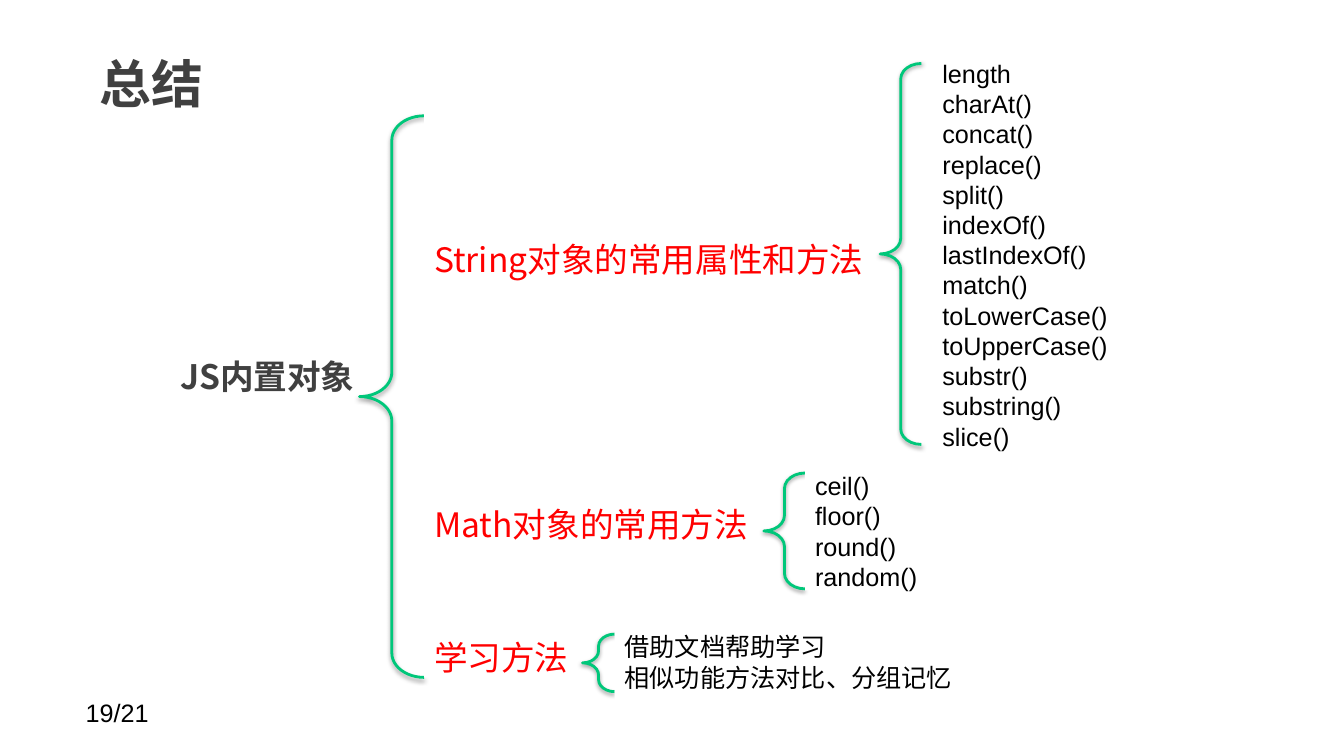
from lxml import etree
from pptx import Presentation
from pptx.dml.color import RGBColor
from pptx.enum.shapes import MSO_SHAPE
from pptx.enum.text import MSO_ANCHOR, PP_ALIGN
from pptx.oxml import parse_xml
from pptx.oxml.ns import nsdecls, qn
from pptx.util import Cm, Pt

LEFT_BRACE, RECTANGLE = MSO_SHAPE.LEFT_BRACE, MSO_SHAPE.RECTANGLE
TOP, MIDDLE = MSO_ANCHOR.TOP, MSO_ANCHOR.MIDDLE
LEFT = PP_ALIGN.LEFT

COLORS = {"dark": "404040", "red": "FF0000", "black": "000000",
          "green": "00C77A", "white": "FFFFFF"}
CJK, LATIN = "Noto Sans CJK SC", "Arial"

# Text formats: line is the exact line spacing in points
TITLE = {"size": 37, "bold": True, "name": CJK, "color": "dark"}
ROOT = {"size": 24, "bold": True, "name": CJK, "color": "dark", "line": 29}
TOPIC = {"size": 24, "bold": False, "name": CJK, "color": "red", "line": 29}
NOTE = {"size": 18, "bold": False, "name": CJK, "color": "black", "line": 22}
CODE = {**NOTE, "name": LATIN, "line": 21.6}

SHADOW = (
    f'<a:outerShdw {nsdecls("a")} blurRad="39370" dist="20320" dir="5400000" rotWithShape="0">'
    f'<a:srgbClr val="{COLORS["black"]}"><a:alpha val="38000"/></a:srgbClr></a:outerShdw>'
)


def rgb(name):
    return RGBColor.from_string(COLORS[name])


def write(tf, lines, fmt):
    tf.word_wrap = True
    for i, line in enumerate(lines):
        p = tf.paragraphs[0] if i == 0 else tf.add_paragraph()
        p.alignment = LEFT
        if "line" in fmt:
            p.line_spacing = Pt(fmt["line"])
        r = p.add_run()
        r.text = line
        r.font.size = Pt(fmt["size"])
        for attr in ("bold", "name"):
            setattr(r.font, attr, fmt[attr])
        r.font.color.rgb = rgb(fmt["color"])
        etree.SubElement(r.font._element, qn("a:ea"), typeface=fmt["name"])


prs = Presentation()
prs.slide_width, prs.slide_height = Cm(33.87), Cm(19.05)
s = prs.slides.add_slide(prs.slide_layouts[5])

# Title
title = s.shapes.title
title.left, title.top, title.width, title.height = Cm(2.18), Cm(0.78), Cm(26.44), Cm(2.62)
tf = title.text_frame
tf.vertical_anchor = MIDDLE
tf.margin_left = tf.margin_right = Cm(0.33)
tf.margin_top = tf.margin_bottom = Cm(0.15)
write(tf, ["总结"], TITLE)

# Root of the tree and page number
for box, line, fmt in [
    ((4.29, 8.84, 6.12, 1.2), "JS内置对象", ROOT),
    ((1.91, 17.45, 5.92, 1.02), "19/21", CODE),
]:
    write(s.shapes.add_textbox(*map(Cm, box)).text_frame, [line], fmt)

# Branches: a brace and the panel of items to its right
topics = ["String对象的常用属性和方法", "Math对象的常用方法", "学习方法"]
study_items = ["借助文档帮助学习", "相似功能方法对比、分组记忆"]
string_items = [
    "length", "charAt()", "concat()", "replace()", "split()", "indexOf()", "lastIndexOf()",
    "match()", "toLowerCase()", "toUpperCase()", "substr()", "substring()", "slice()",
]
math_items = ["ceil()", "floor()", "round()", "random()"]
branches = [
    ((9.06, 2.92, 1.63, 14.15), (10.69, 2.54, 11.94, 14.53), topics, TOPIC),
    ((14.68, 15.98, 0.81, 1.45), (15.49, 15.78, 11.1, 2.08), study_items, NOTE),
    ((22.18, 1.6, 1.04, 9.6), (23.5, 1.34, 5.74, 10.06), string_items, CODE),
    ((19.25, 11.92, 1.04, 2.92), (20.29, 11.73, 3.68, 3.15), math_items, CODE),
]
panels = []
for brace_box, panel_box, lines, fmt in branches:
    sp = s.shapes.add_shape(LEFT_BRACE, *map(Cm, brace_box))
    sp.adjustments[0] = 0.376
    sp.fill.background()
    sp.line.color.rgb = rgb("green")
    sp.line.width = Pt(2)
    sp.shadow.inherit = False
    sp._element.spPr.find(qn("a:effectLst")).append(parse_xml(SHADOW))

    panel = s.shapes.add_shape(RECTANGLE, *map(Cm, panel_box))
    panel.fill.solid()
    panel.fill.fore_color.rgb = rgb("white")
    panel.line.fill.background()
    panel.shadow.inherit = False
    panel.text_frame.vertical_anchor = TOP
    write(panel.text_frame, lines, fmt)
    panels.append(panel)

# Spread the topics to face their items
tf = panels[0].text_frame
tf.margin_top = Cm(3.48)
for p, gap in zip(tf.paragraphs[1:], (160.3, 66)):
    p.space_before = Pt(gap)

prs.save("out.pptx")
